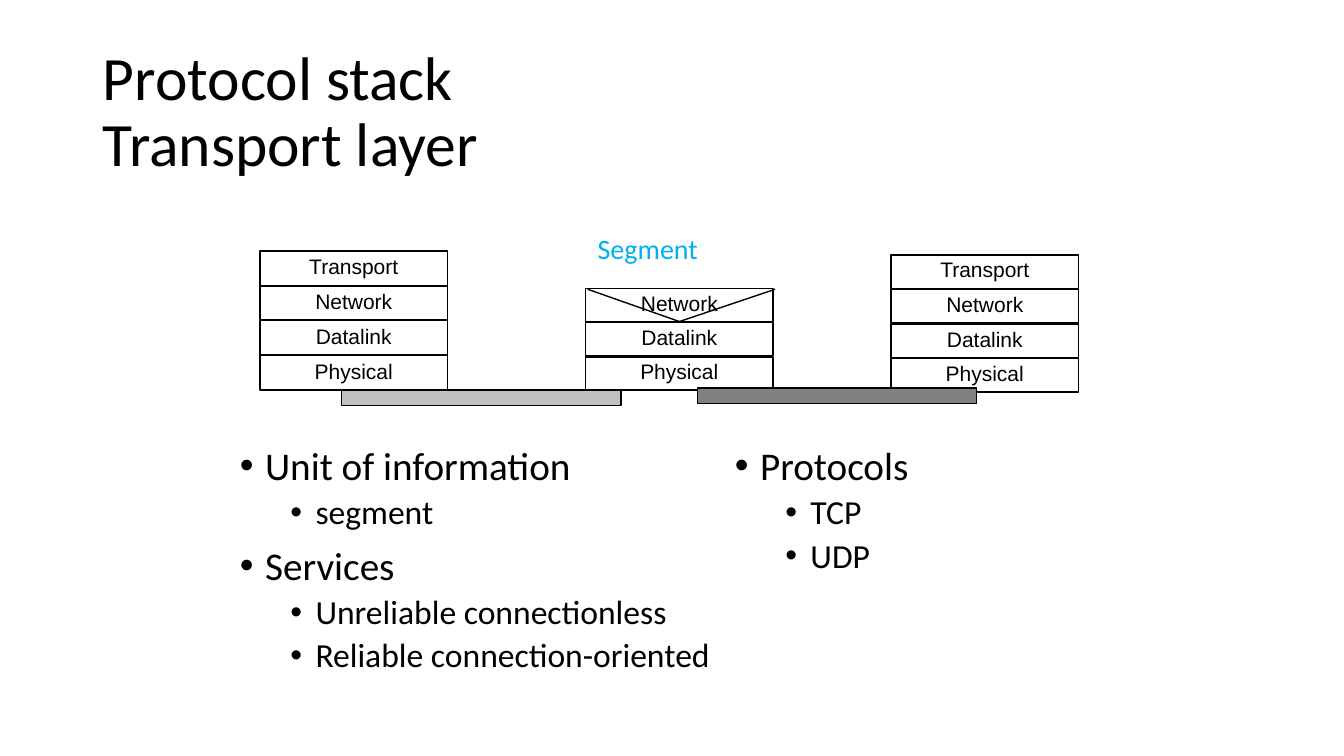
from lxml.etree import SubElement
from pptx import Presentation
from pptx.dml.color import RGBColor
from pptx.enum.dml import MSO_LINE
from pptx.enum.shapes import MSO_CONNECTOR, MSO_SHAPE
from pptx.enum.text import MSO_ANCHOR, MSO_AUTO_SIZE, PP_ALIGN
from pptx.oxml.ns import qn
from pptx.util import Inches, Pt


def grid(*cells):
    return [Inches(cell / 10) for cell in cells]


def add_span(para, text, size, font, color):
    span = para.add_run()
    span.text = text
    span.font.size = Pt(size)
    span.font.name = font
    span.font.color.rgb = RGBColor.from_string(color)


deck = Presentation()
deck.slide_width, deck.slide_height = grid(133.33, 75)
page = deck.slides.add_slide(deck.slide_layouts.get_by_name("Two Content"))
title, left_list, right_list = page.placeholders

title.left, title.top, title.width, title.height = grid(9.2, 4, 115, 14.5)
title.text_frame.auto_size = MSO_AUTO_SIZE.NONE
title.text_frame.vertical_anchor = MSO_ANCHOR.MIDDLE
para = title.text_frame.paragraphs[0]
para.alignment = PP_ALIGN.LEFT
para.line_spacing = 0.9
add_span(para, "Protocol stack", 44, "Calibri", "000000")
para.add_line_break()
add_span(para, "Transport layer", 44, "Calibri", "000000")

lists = [
    (left_list, 22.8, 49, [
        (0, "Unit of information"),
        (1, "segment"),
        (0, "Services"),
        (1, "Unreliable connectionless"),
        (1, "Reliable connection-oriented"),
    ]),
    (right_list, 71.9, 49, [(0, "Protocols"), (1, "TCP"), (1, "UDP")]),
]
for box, left, width, items in lists:
    box.left, box.top, box.width, box.height = grid(left, 43.8, width, 29)
    box.text_frame.auto_size = MSO_AUTO_SIZE.NONE
    for index, (level, text) in enumerate(items):
        para = box.text_frame.add_paragraph() if index else box.text_frame.paragraphs[0]
        para.level = level
        para.line_spacing = 0.9
        para.space_before = Pt((10, 5)[level] if index else 0)
        properties = para._p.get_or_add_pPr()
        properties.set("marL", str(Inches(0.25 + level / 2)))
        properties.set("indent", str(Inches(-0.25)))
        SubElement(properties, qn("a:buFont"), typeface="Arial")
        SubElement(properties, qn("a:buChar"), char="•")
        add_span(para, text, (28, 24)[level], "Calibri", "000000")

layers = ["Transport", "Network", "Datalink", "Physical"]
stacks = [
    (25.8, 24.9, 3.46, 3.4, layers),
    (58.1, 28.6, 3.4, 3.3, layers[1:]),
    (88.4, 25.3, 3.43, 3.3, layers),
]
bars = [
    (left, top + row * step, 18.6, height, label, None)
    for left, top, step, height, labels in stacks
    for row, label in enumerate(labels)
]
bars += [(33.9, 38.7, 27.7, 1.5, "", "C0C0C0"), (69.2, 38.5, 27.7, 1.5, "", "808080")]

boxes = []
for left, top, width, height, label, fill in bars:
    box = page.shapes.add_shape(MSO_SHAPE.ROUNDED_RECTANGLE, *grid(left, top, width, height))
    box.adjustments[0] = 0
    box.shadow.inherit = False
    box.line.color.rgb = RGBColor.from_string("000000")
    box.line.width = Pt(1)
    if fill:
        box.fill.solid()
        box.fill.fore_color.rgb = RGBColor.from_string(fill)
    else:
        box.fill.background()
    if label:
        frame = box.text_frame
        frame.margin_left = frame.margin_right = frame.margin_top = frame.margin_bottom = 0
        frame.vertical_anchor = MSO_ANCHOR.MIDDLE
        para = frame.paragraphs[0]
        para.alignment = PP_ALIGN.CENTER
        para.line_spacing = 0.84
        add_span(para, label, 15, "Arial", "000000")
    boxes.append(box)
router_network = boxes[len(layers)]

lines = [
    (25.8, 33.9, 25.8, 29.7, None),
    (44.4, 33.9, 44.4, 29.7, None),
    (58.3, 28.7, 67.4, 32, router_network),
    (76.9, 28.7, 67.4, 32, router_network),
]
for start_x, start_y, end_x, end_y, target in lines:
    line = page.shapes.add_connector(
        MSO_CONNECTOR.STRAIGHT, *grid(start_x, start_y, end_x, end_y))
    line.line.color.rgb = RGBColor.from_string("000000")
    line.line.width = Pt(1)
    if target:
        line.end_connect(target, 2)
    else:
        line.line.dash_style = MSO_LINE.DASH_DOT_DOT
    SubElement(line._element.spPr, qn("a:effectLst"))

segment = page.shapes.add_textbox(*grid(58.3, 22.5, 12.9, 4.4))
segment.text_frame.word_wrap = True
add_span(segment.text_frame.paragraphs[0], "Segment", 20, "Calibri", "00B0F0")

deck.save("out.pptx")
